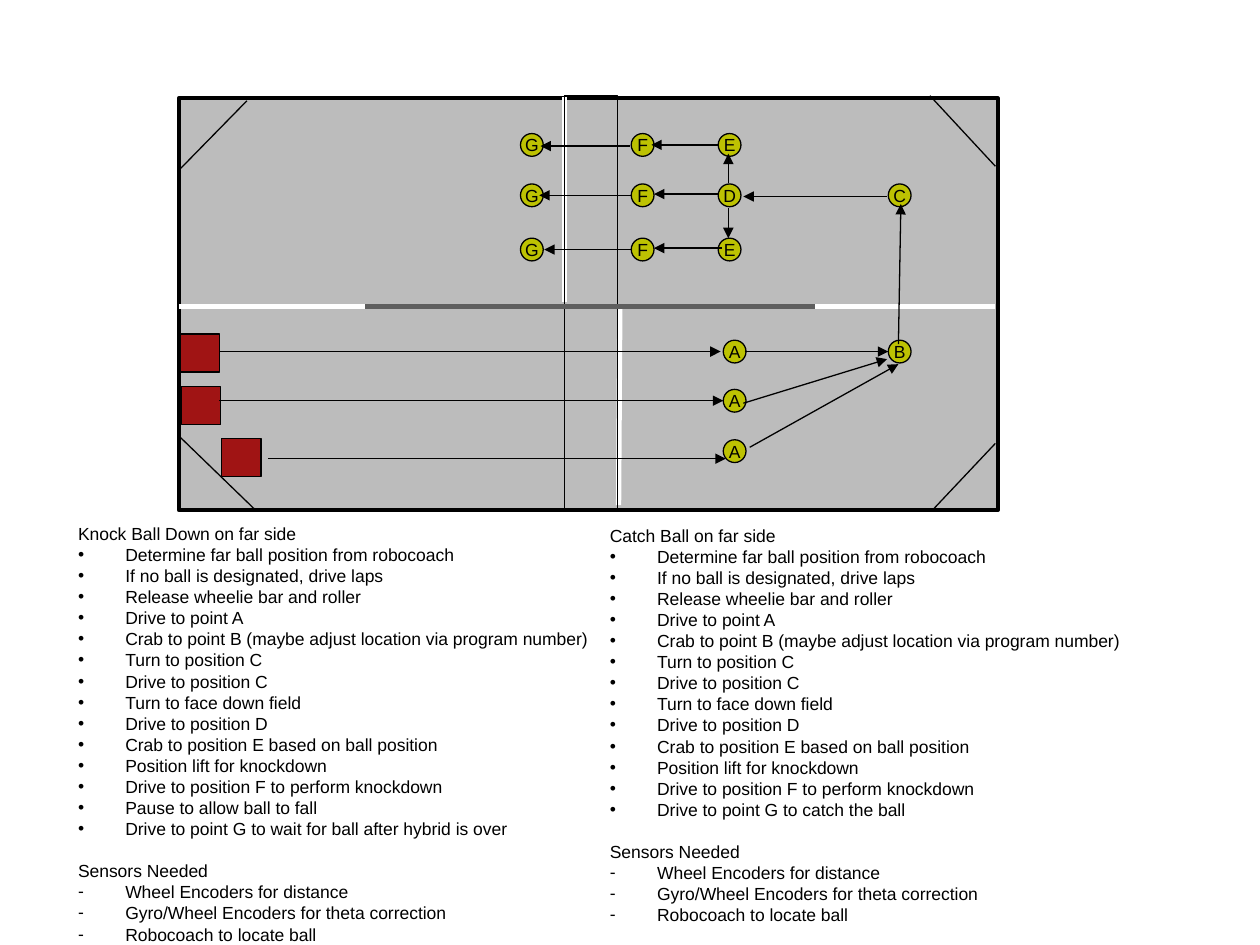
import dataclasses

import pptx
import pptx.dml.color
import pptx.enum.shapes
import pptx.enum.text
import pptx.oxml.ns
import pptx.util
from lxml import etree

Pt = pptx.util.Pt


@dataclasses.dataclass(frozen=True)
class Theme:
    """Colours, font and sizes of the slide."""

    ink: str = "000000"
    field: str = "BCBCBC"
    tape: str = "FFFFFF"
    barrier: str = "5F5F5F"
    robot: str = "A01414"
    waypoint: str = "BDC202"
    font: str = "Arial"
    text: float = 10
    leading: float = 12.04
    indent: float = 27
    thin: float = 0.75
    border: float = 2.25
    thick: float = 3


THEME = Theme()

OPENING = [
    "Determine far ball position from robocoach",
    "If no ball is designated, drive laps",
    "Release wheelie bar and roller",
    "Drive to point A",
    "Crab to point B (maybe adjust location via program number)",
    "Turn to position C",
    "Drive to position C",
    "Turn to face down field",
    "Drive to position D",
    "Crab to position E based on ball position",
    "Position lift for knockdown",
    "Drive to position F to perform knockdown",
]
KNOCK_ENDING = [
    "Pause to allow ball to fall",
    "Drive to point G to wait for ball after hybrid is over",
]
CATCH_ENDING = ["Drive to point G to catch the ball"]
SENSORS = [
    "Wheel Encoders for distance",
    "Gyro/Wheel Encoders for theta correction",
    "Robocoach to locate ball",
]

CORNERS = [
    ((103, 96.5), (141.1, 57.6)),
    ((101.5, 248.4), (145.4, 290.9)),
    ((568.8, 253.4), (532.1, 292.3)),
    ((568.8, 95), (531.4, 54.7)),
]
TAPES = [
    ((102.2, 175), (568.8, 175)),
    ((322.6, 55.4), (322.6, 172.8)),
    ((353.5, 288.7), (354.2, 175)),
]
ROBOTS = [(103, 190.8), (103.7, 221), (126.7, 250.6)]
START_ARROWS = [
    ((125.3, 200.9), (411.8, 200.9)),
    ((125.3, 229), (413.3, 229)),
    ((153.4, 262.1), (414.7, 262.1)),
]
FAR_ROWS = (76.3, 105.1, 136.1)
NEAR_ROWS = (194.4, 222.5, 251.3)
WAYPOINTS = [
    ("AAA", 413.3, NEAR_ROWS),
    ("B", 507.6, NEAR_ROWS[:1]),
    ("C", 507.6, FAR_ROWS[1:2]),
    ("EDE", 410.4, FAR_ROWS),
    ("FFF", 360.7, FAR_ROWS),
    ("GGG", 297.4, FAR_ROWS),
]
ROUTE_ARROWS = [
    ((425.5, 200.9), (507.6, 200.9)),
    ((424.8, 230.4), (506.9, 205.2)),
    ((428.4, 255.6), (513.4, 208.1)),
    ((513.4, 196.6), (514.8, 116.6)),
    ((506.9, 112.3), (424.8, 112.3)),
    ((411.1, 82.8), (372.2, 82.8)),
    ((410.4, 110.9), (373.7, 110.9)),
    ((412.6, 141.8), (373.7, 141.8)),
    ((360, 83.5), (308.9, 83.5)),
    ((361.4, 111.6), (308.2, 111.6)),
    ((361.4, 142.6), (311, 142.6)),
    ((416.2, 104.4), (416.2, 87.8)),
    ((416.2, 118.8), (416.2, 136.1)),
]


def apply(target, values):
    """Set each named attribute on the target."""
    for name, value in values.items():
        setattr(target, name, value)


def rgb(code):
    """Turn a hex code into a colour."""
    return pptx.dml.color.RGBColor.from_string(code)


def add_xml(parent, tag, **attributes):
    """Append a DrawingML element to the parent."""
    return etree.SubElement(parent, pptx.oxml.ns.qn(tag), attributes)


def set_font(font):
    """Give a font the common text format."""
    apply(font, {"name": THEME.font, "size": Pt(THEME.text)})
    font.color.rgb = rgb(THEME.ink)


def set_line(line, color, width):
    """Give an outline its colour and width."""
    line.color.rgb = rgb(color)
    line.width = Pt(width)


def add_line(shapes, ends, color=THEME.ink, width=THEME.thin, arrow=False):
    """Draw a straight line, with an arrowhead at its end if wanted."""
    (left, top), (right, bottom) = ends
    line = shapes.add_connector(
        pptx.enum.shapes.MSO_CONNECTOR.STRAIGHT, Pt(left), Pt(top), Pt(right), Pt(bottom)
    )
    set_line(line.line, color, width)
    if arrow:
        add_xml(line.line._get_or_add_ln(), "a:tailEnd", type="triangle")
    add_xml(line._element.spPr, "a:effectLst")


def add_shape(shapes, kind, frame, fill=None, width=THEME.thin):
    """Draw an outlined preset shape, hollow when it has no fill."""
    shape = shapes.add_shape(kind, *map(Pt, frame))
    shape.shadow.inherit = False
    if fill:
        shape.fill.solid()
        shape.fill.fore_color.rgb = rgb(fill)
    else:
        shape.fill.background()
    set_line(shape.line, THEME.ink, width)
    return shape


def add_waypoint(shapes, letter, left, top):
    """Draw a lettered circle."""
    circle = add_shape(
        shapes, pptx.enum.shapes.MSO_SHAPE.OVAL, (left, top, 13, 13), THEME.waypoint
    )
    apply(circle.text_frame, {
        "margin_left": 0, "margin_right": 0, "margin_top": 0, "margin_bottom": 0,
        "word_wrap": False, "vertical_anchor": pptx.enum.text.MSO_ANCHOR.MIDDLE,
    })
    para = circle.text_frame.paragraphs[0]
    para.alignment = pptx.enum.text.PP_ALIGN.CENTER
    span = para.add_run()
    span.text = letter
    set_font(span.font)


def add_field(shapes):
    """Draw the playing field as one group."""
    group = shapes.add_group_shape().shapes
    rectangle = pptx.enum.shapes.MSO_SHAPE.RECTANGLE
    add_shape(group, rectangle, (102.2, 56.2, 468, 235.4), THEME.field, THEME.border)
    for ends in CORNERS:
        add_line(group, ends)
    for ends in TAPES:
        add_line(group, ends, THEME.tape, THEME.thick)
    add_shape(group, rectangle, (322.6, 54.7, 30.2, 236.2))
    add_line(group, ((208.8, 175), (465.8, 175)), THEME.barrier, THEME.thick)


def fill_list(box, frame, title, steps):
    """Fill a body placeholder with the steps and the sensors."""
    apply(box, dict(zip(("left", "top", "width", "height"), map(Pt, frame))))
    apply(box.text_frame, {
        "margin_left": Pt(7.2), "margin_right": 0,
        "margin_top": Pt(3.6), "margin_bottom": Pt(3.6),
        "word_wrap": True, "auto_size": pptx.enum.text.MSO_AUTO_SIZE.NONE,
        "vertical_anchor": pptx.enum.text.MSO_ANCHOR.TOP,
    })
    rows = [(title, None, 0)] + [(step, "•", 0) for step in steps]
    rows += [("Sensors Needed", None, THEME.leading)]
    rows += [(sensor, "-", 0) for sensor in SENSORS]
    for number, (text, bullet, gap) in enumerate(rows):
        para = box.text_frame.add_paragraph() if number else box.text_frame.paragraphs[0]
        apply(para, {
            "line_spacing": Pt(THEME.leading), "space_before": Pt(gap), "space_after": Pt(0),
            "alignment": pptx.enum.text.PP_ALIGN.LEFT,
        })
        span = para.add_run()
        span.text = text
        set_font(span.font)
        properties = para._p.get_or_add_pPr()
        properties.set("marL", str(Pt(THEME.indent)))
        properties.set("indent", str(-Pt(THEME.indent)))
        if bullet:
            add_xml(properties, "a:buFont", typeface=THEME.font)
            add_xml(properties, "a:buChar", char=bullet)
        else:
            add_xml(properties, "a:buNone")


def main():
    """Build the slide and save it."""
    deck = pptx.Presentation()
    apply(deck, {"slide_width": Pt(720), "slide_height": Pt(540)})
    page = deck.slides.add_slide(deck.slide_layouts.get_by_name("Two Content"))
    title = page.shapes.title._element
    title.getparent().remove(title)
    knock, catch = page.placeholders
    fill_list(knock, (37.4, 295.2, 305.3, 247.7), "Knock Ball Down on far side", OPENING + KNOCK_ENDING)
    fill_list(catch, (341.3, 296.2, 305.3, 235.4), "Catch Ball on far side", OPENING + CATCH_ENDING)
    add_field(page.shapes)
    for left, top in ROBOTS:
        add_shape(page.shapes, pptx.enum.shapes.MSO_SHAPE.RECTANGLE, (left, top, 22.5, 21.8), THEME.robot)
    for ends in START_ARROWS:
        add_line(page.shapes, ends, arrow=True)
    for letters, left, tops in WAYPOINTS:
        for letter, top in zip(letters, tops):
            add_waypoint(page.shapes, letter, left, top)
    for ends in ROUTE_ARROWS:
        add_line(page.shapes, ends, arrow=True)
    deck.save("out.pptx")


if __name__ == "__main__":
    main()
